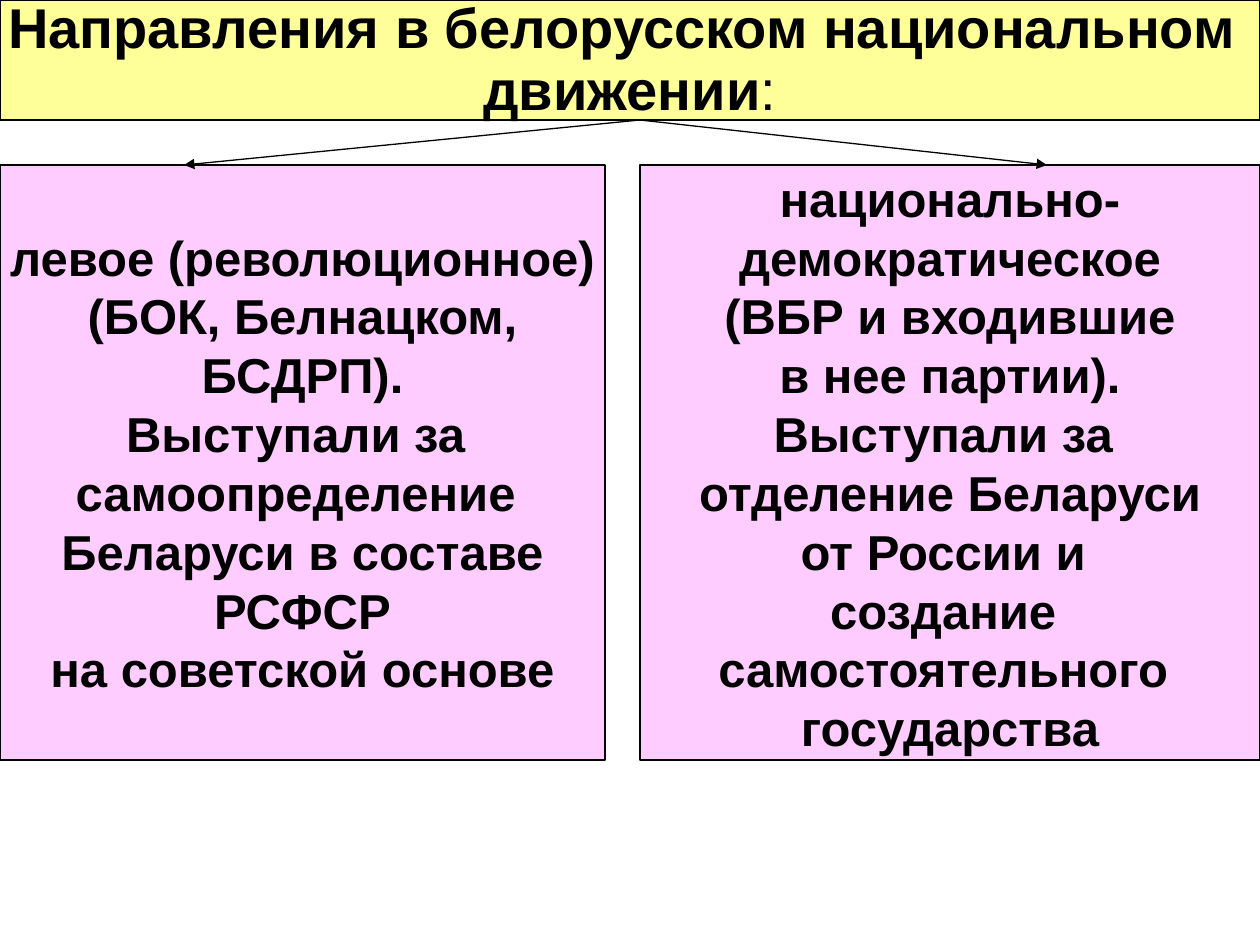
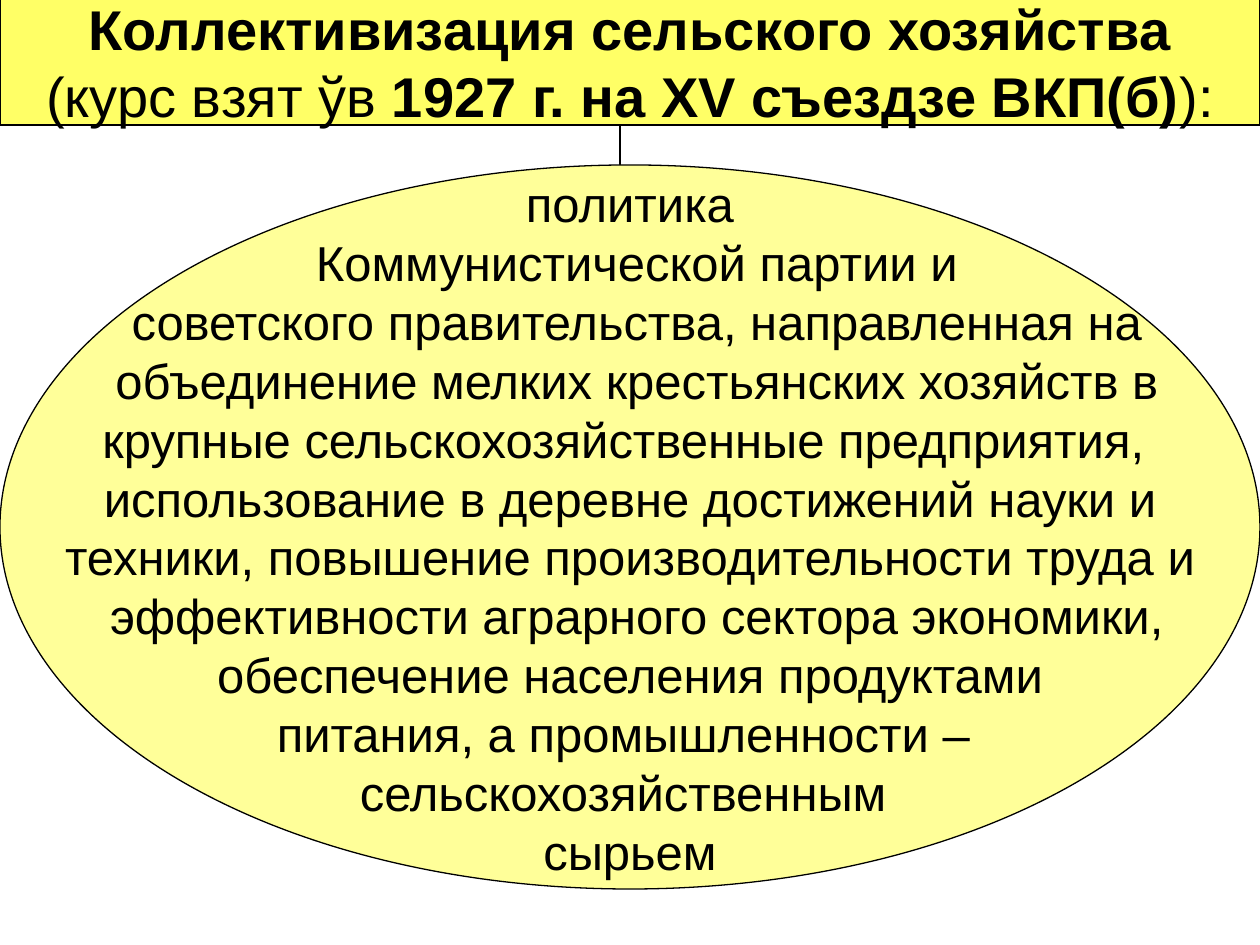
from lxml import etree
from pptx import Presentation
from pptx.dml.color import RGBColor
from pptx.enum.shapes import MSO_CONNECTOR, MSO_SHAPE
from pptx.enum.text import MSO_ANCHOR, PP_ALIGN
from pptx.oxml.ns import qn
from pptx.util import Pt

RECT, OVAL = MSO_SHAPE.RECTANGLE, MSO_SHAPE.OVAL
LINE = MSO_CONNECTOR.STRAIGHT
MIDDLE, CENTER = MSO_ANCHOR.MIDDLE, PP_ALIGN.CENTER

BLACK = RGBColor(0x00, 0x00, 0x00)
CREAM = RGBColor(0xFF, 0xFF, 0x99)
YELLOW = RGBColor(0xFF, 0xFF, 0x66)
PINK = RGBColor(0xFF, 0xCC, 0xFF)

SCALE = 914400 / 126
WIDE, HIGH = 1260, 945
TOP = 165
BODY = 28
TITLE = 32


def px(*sizes):
    return [round(size * SCALE) for size in sizes]


def assign(item, values):
    for name, value in values.items():
        setattr(item, name, value)


class Deck:
    font = {"name": "Arial"}
    frame = {"word_wrap": False, "vertical_anchor": MIDDLE}
    stroke = Pt(0.75)

    def __init__(self):
        self.show = Presentation()
        wide, high = px(WIDE, HIGH)
        assign(self.show, {"slide_width": wide, "slide_height": high})

    def page(self):
        self.slide = self.show.slides.add_slide(self.show.slide_layouts[6])

    def outline(self, item):
        item.line.color.rgb = BLACK
        item.line.width = self.stroke

    def box(self, kind, place, fill, lines, size=BODY, pitch=None):
        shape = self.slide.shapes.add_shape(kind, *px(*place))
        shape.shadow.inherit = False
        shape.fill.solid()
        shape.fill.fore_color.rgb = fill
        self.outline(shape)
        frame = shape.text_frame
        assign(frame, self.frame)
        for index, line in enumerate(lines):
            para = frame.add_paragraph() if index else frame.paragraphs[0]
            assign(para, {"alignment": CENTER, "line_spacing": pitch})
            for turn, text in enumerate(line.split("*")):
                if text:
                    run = para.add_run()
                    run.text = text
                    assign(run.font, self.font | {"size": Pt(size), "bold": turn % 2 == 1})
                    run.font.color.rgb = BLACK

    def title(self, place, fill, lines, pitch=None):
        self.box(RECT, place, fill, lines, TITLE, pitch)

    def link(self, start, end, arrow=False):
        line = self.slide.shapes.add_connector(LINE, *px(*start, *end))
        self.outline(line)
        if arrow:
            tail = etree.SubElement(line.line._get_or_add_ln(), qn("a:tailEnd"))
            tail.set("type", "triangle")
        etree.SubElement(line._element.spPr, qn("a:effectLst"))


def trends(deck):
    deck.page()
    deck.title((0, 0, WIDE, 120), CREAM, [
        "*Направления в белорусском национальном *",
        "*движении*:",
    ], Pt(35))
    left = [
        "левое (революционное)",
        "(БОК, Белнацком,",
        "БСДРП).",
        "Выступали за ",
        "самоопределение ",
        "Беларуси в составе",
        "РСФСР",
        "на советской основе",
    ]
    right = [
        "национально-",
        "демократическое",
        "(ВБР и входившие",
        "в нее партии).",
        "Выступали за ",
        "отделение Беларуси",
        "от России и ",
        "создание ",
        "самостоятельного ",
        "государства",
    ]
    for x, wide, tip, lines in ((0, 605, 184, left), (640, 620, 1047, right)):
        deck.box(RECT, (x, TOP, wide, 595), PINK, [f"*{line}*" for line in lines])
        deck.link((640, 120), (tip, TOP), arrow=True)


def farming(deck):
    deck.page()
    deck.title((0, -1, WIDE, 126), YELLOW, [
        "*Коллективизация сельского хозяйства*",
        "(курс взят ўв *1927 г. на ХV съездзе ВКП(б)*):",
    ])
    deck.link((620, 125), (620, TOP))
    deck.box(OVAL, (0, TOP, WIDE, 724), CREAM, [
        "политика",
        " Коммунистической партии и",
        " советского правительства, направленная на",
        " объединение мелких крестьянских хозяйств в",
        "крупные сельскохозяйственные предприятия, ",
        "использование в деревне достижений науки и",
        "техники, повышение производительности труда и",
        " эффективности аграрного сектора экономики,",
        " обеспечение населения продуктами ",
        "питания, а промышленности – ",
        "сельскохозяйственным ",
        "сырьем",
    ])


def main():
    deck = Deck()
    trends(deck)
    farming(deck)
    deck.show.save("out.pptx")


if __name__ == "__main__":
    main()
